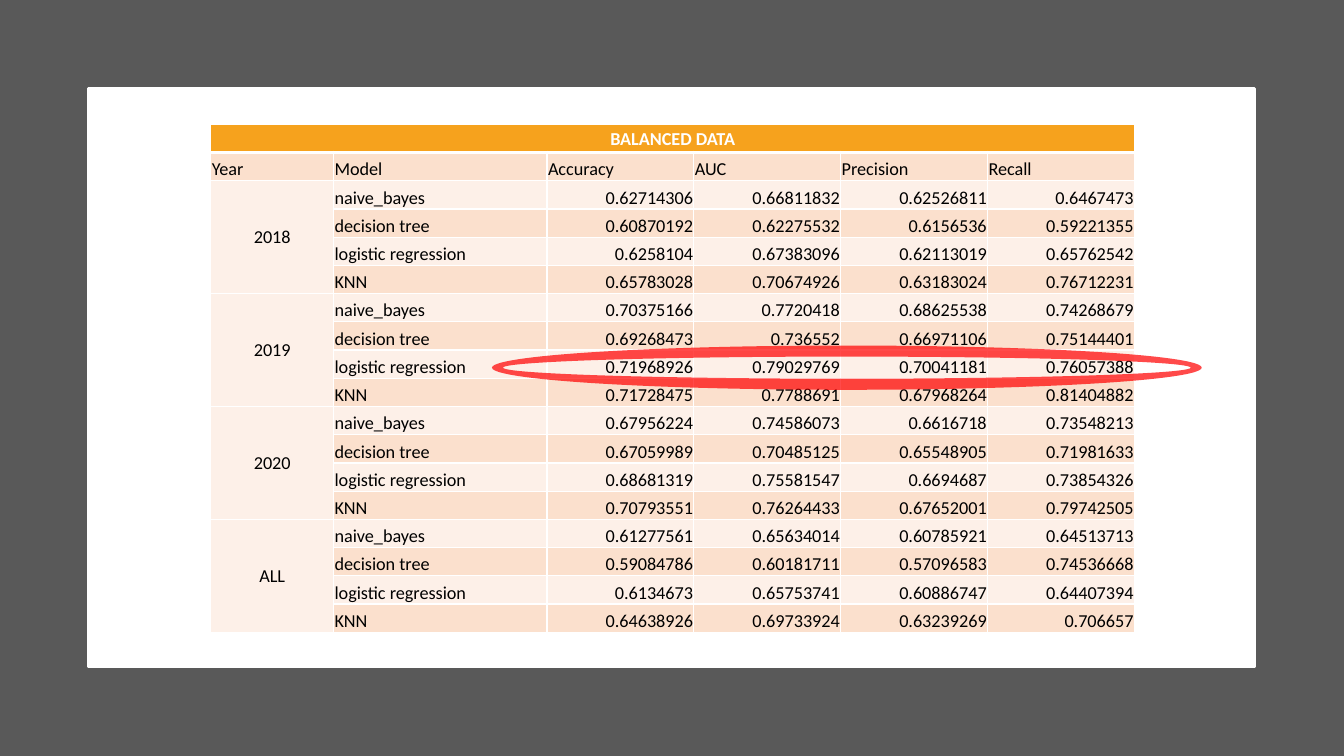
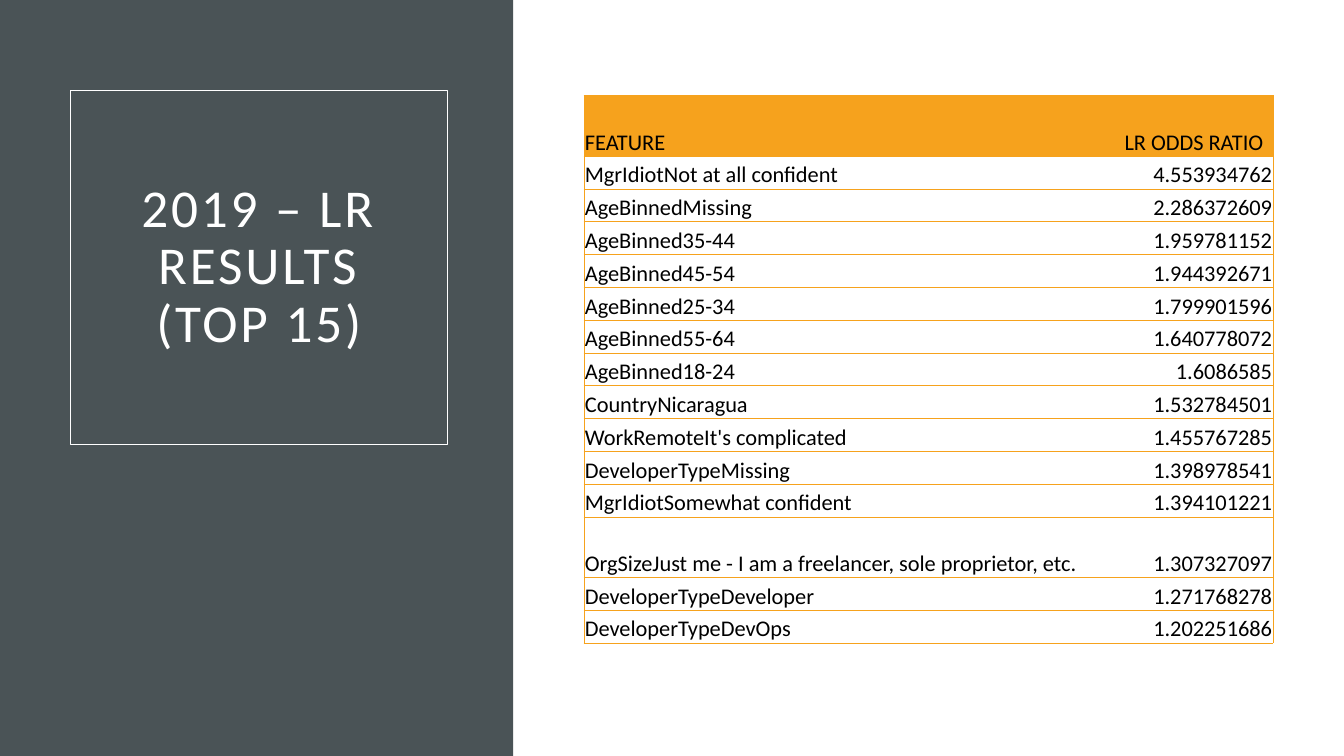
from lxml import etree
from pptx import Presentation
from pptx.dml.color import RGBColor
from pptx.enum.shapes import MSO_SHAPE as SHAPE
from pptx.enum.text import MSO_ANCHOR as ANCHOR, PP_ALIGN as ALIGN
from pptx.oxml.ns import qn
from pptx.util import Pt

COLORS = {
    "white": "FFFFFF", "black": "000000", "gray": "595959", "slate": "4A5356",
    "orange": "F6A21D", "peach": "FBE0CD", "cream": "FDF0E8", "red": "FF0000",
}
FONT = "Calibri"
NO_STYLE = "{2D5ABB26-0587-4C30-8999-92F81FD0307C}"
WIDTH, HEIGHT = 960, 540

METRICS_TITLE = "BALANCED DATA"
METRICS_HEADER = ["Year", "Model", "Accuracy", "AUC", "Precision", "Recall"]
MODELS = ["naive_bayes", "decision tree", "logistic regression", "KNN"]
METRICS = {
    "2018": [
        ("0.62714306", "0.66811832", "0.62526811", "0.6467473"),
        ("0.60870192", "0.62275532", "0.6156536", "0.59221355"),
        ("0.6258104", "0.67383096", "0.62113019", "0.65762542"),
        ("0.65783028", "0.70674926", "0.63183024", "0.76712231"),
    ],
    "2019": [
        ("0.70375166", "0.7720418", "0.68625538", "0.74268679"),
        ("0.69268473", "0.736552", "0.66971106", "0.75144401"),
        ("0.71968926", "0.79029769", "0.70041181", "0.76057388"),
        ("0.71728475", "0.7788691", "0.67968264", "0.81404882"),
    ],
    "2020": [
        ("0.67956224", "0.74586073", "0.6616718", "0.73548213"),
        ("0.67059989", "0.70485125", "0.65548905", "0.71981633"),
        ("0.68681319", "0.75581547", "0.6694687", "0.73854326"),
        ("0.70793551", "0.76264433", "0.67652001", "0.79742505"),
    ],
    "ALL": [
        ("0.61277561", "0.65634014", "0.60785921", "0.64513713"),
        ("0.59084786", "0.60181711", "0.57096583", "0.74536668"),
        ("0.6134673", "0.65753741", "0.60886747", "0.64407394"),
        ("0.64638926", "0.69733924", "0.63239269", "0.706657"),
    ],
}

ODDS_TITLE = "2019 – LR RESULTS (TOP 15)"
ODDS_HEADER = ("FEATURE", "LR ODDS RATIO")
ODDS = [
    ("MgrIdiotNot at all confident", "4.553934762"),
    ("AgeBinnedMissing", "2.286372609"),
    ("AgeBinned35-44", "1.959781152"),
    ("AgeBinned45-54", "1.944392671"),
    ("AgeBinned25-34", "1.799901596"),
    ("AgeBinned55-64", "1.640778072"),
    ("AgeBinned18-24", "1.6086585"),
    ("CountryNicaragua", "1.532784501"),
    ("WorkRemoteIt's complicated", "1.455767285"),
    ("DeveloperTypeMissing", "1.398978541"),
    ("MgrIdiotSomewhat confident", "1.394101221"),
    ("OrgSizeJust me - I am a freelancer, sole proprietor, etc.", "1.307327097"),
    ("DeveloperTypeDeveloper", "1.271768278"),
    ("DeveloperTypeDevOps", "1.202251686"),
]
TALL_ODDS_ROWS = (0, 12)


def rgb(name):
    return RGBColor.from_string(COLORS[name])


def set_font(p, size, color, bold=False):
    p.font.name, p.font.size, p.font.bold = FONT, Pt(size), bold
    p.font.color.rgb = rgb(color)


def add_box(slide, kind, box, fill=None, line=None, line_width=1):
    s = slide.shapes.add_shape(kind, *map(Pt, box))
    s.shadow.inherit = False
    if fill:
        s.fill.solid()
        s.fill.fore_color.rgb = rgb(fill)
    else:
        s.fill.background()
    if line:
        s.line.color.rgb = rgb(line)
        s.line.width = Pt(line_width)
    else:
        s.line.fill.background()
    return s


def add_table(slide, left, top, widths, heights):
    """Add a table without any built-in style."""
    frame = slide.shapes.add_table(len(heights), len(widths), Pt(left), Pt(top),
                                   Pt(sum(widths)), Pt(sum(heights)))
    table = frame.table
    table.first_row = table.horz_banding = False
    frame._element.find(".//" + qn("a:tableStyleId")).text = NO_STYLE
    for col, width in zip(table.columns, widths):
        col.width = Pt(width)
    for row, height in zip(table.rows, heights):
        row.height = Pt(height)
    return table


def set_borders(cell, color, **widths):
    """Draw the sides L, R, T and B; a side without a width has no line."""
    tcPr = cell._tc.get_or_add_tcPr()
    for side in "LRTB":
        width = widths.get(side, 0)
        ln = etree.SubElement(tcPr, qn("a:ln" + side), w=str(Pt(width)))
        if width:
            fill = etree.SubElement(ln, qn("a:solidFill"))
            etree.SubElement(fill, qn("a:srgbClr"), val=COLORS[color])
        else:
            etree.SubElement(ln, qn("a:noFill"))


def fill_cell(cell, text, size, color="black", fill=None, align=ALIGN.LEFT,
              anchor=ANCHOR.BOTTOM, bold=False):
    cell.margin_left = cell.margin_right = cell.margin_top = Pt(0.7)
    cell.margin_bottom = 0
    cell.vertical_anchor = anchor
    if fill:
        cell.fill.solid()
        cell.fill.fore_color.rgb = rgb(fill)
    else:
        cell.fill.background()
    cell.text = text
    p = cell.text_frame.paragraphs[0]
    p.alignment = align
    set_font(p, size, color, bold)


def build_metrics_slide(slide):
    add_box(slide, SHAPE.RECTANGLE, (0, 0, WIDTH, HEIGHT), "gray")
    add_box(slide, SHAPE.RECTANGLE, (63, 63, 833, 413.5), "white", "white", 2)

    rows = [[METRICS_TITLE] + [""] * 5, METRICS_HEADER]
    for year, scores in METRICS.items():
        for i, (model, values) in enumerate(zip(MODELS, scores)):
            rows.append([year if i == 0 else "", model, *values])

    table = add_table(slide, 150.6, 88.8, [87.7, 152.5] + [104.9] * 4,
                      [20.16] * len(rows))
    for r, row in enumerate(rows):
        for c, text in enumerate(row):
            cell = table.cell(r, c)
            set_borders(cell, "white", L=1, R=1, T=3 if r == 1 else 1,
                        B=3 if r == 0 else 1)
            if r == 0:
                fill_cell(cell, text, 13, "white", "orange", ALIGN.CENTER,
                          ANCHOR.MIDDLE, True)
            elif r > 1 and c == 0:
                fill_cell(cell, text, 13, fill="cream", align=ALIGN.CENTER,
                          anchor=ANCHOR.MIDDLE)
            else:
                fill_cell(cell, text, 13, fill="peach" if r % 2 else "cream",
                          align=ALIGN.RIGHT if r > 1 and c > 1 else ALIGN.LEFT)
    table.cell(0, 0).merge(table.cell(0, len(METRICS_HEADER) - 1))
    for r in range(2, len(rows), len(MODELS)):
        table.cell(r, 0).merge(table.cell(r + len(MODELS) - 1, 0))

    ring = add_box(slide, SHAPE.DONUT, (351.4, 246.8, 507, 31.6), "red")
    color = ring._element.spPr.find(".//" + qn("a:srgbClr"))
    etree.SubElement(color, qn("a:alpha"), val="71000")


def build_odds_slide(slide):
    add_box(slide, SHAPE.RECTANGLE, (0, 0, 366.5, HEIGHT), "slate")
    title = add_box(slide, SHAPE.RECTANGLE, (50.2, 64.6, 269.5, 252.8),
                    line="white", line_width=0.75)
    tf = title.text_frame
    tf.word_wrap = True
    tf.vertical_anchor = ANCHOR.MIDDLE
    tf.margin_left = tf.margin_right = Pt(21.6)
    tf.margin_top = tf.margin_bottom = Pt(14.4)
    p = tf.paragraphs[0]
    p.alignment = ALIGN.CENTER
    p.line_spacing = 0.9
    p.space_after = Pt(6)
    run = p.add_run()
    run.text = ODDS_TITLE
    run._r.get_or_add_rPr().set("spc", "200")
    set_font(p, 38, "white")

    rows = [ODDS_HEADER, *ODDS]
    heights = [43.2 if r in TALL_ODDS_ROWS else 23.43 for r in range(len(rows))]
    table = add_table(slide, 417.1, 68.4, [385.5, 106.8], heights)
    for r, row in enumerate(rows):
        for c, text in enumerate(row):
            cell = table.cell(r, c)
            outer = "R" if c else "L"
            set_borders(cell, "orange", T=0.5, B=0.5, **{outer: 0.5})
            fill_cell(cell, text, 16, fill=None if r else "orange",
                      align=ALIGN.RIGHT if r and c else ALIGN.LEFT)


def main():
    prs = Presentation()
    prs.slide_width, prs.slide_height = Pt(WIDTH), Pt(HEIGHT)
    for build in (build_metrics_slide, build_odds_slide):
        build(prs.slides.add_slide(prs.slide_layouts[6]))
    prs.save("out.pptx")


if __name__ == "__main__":
    main()
